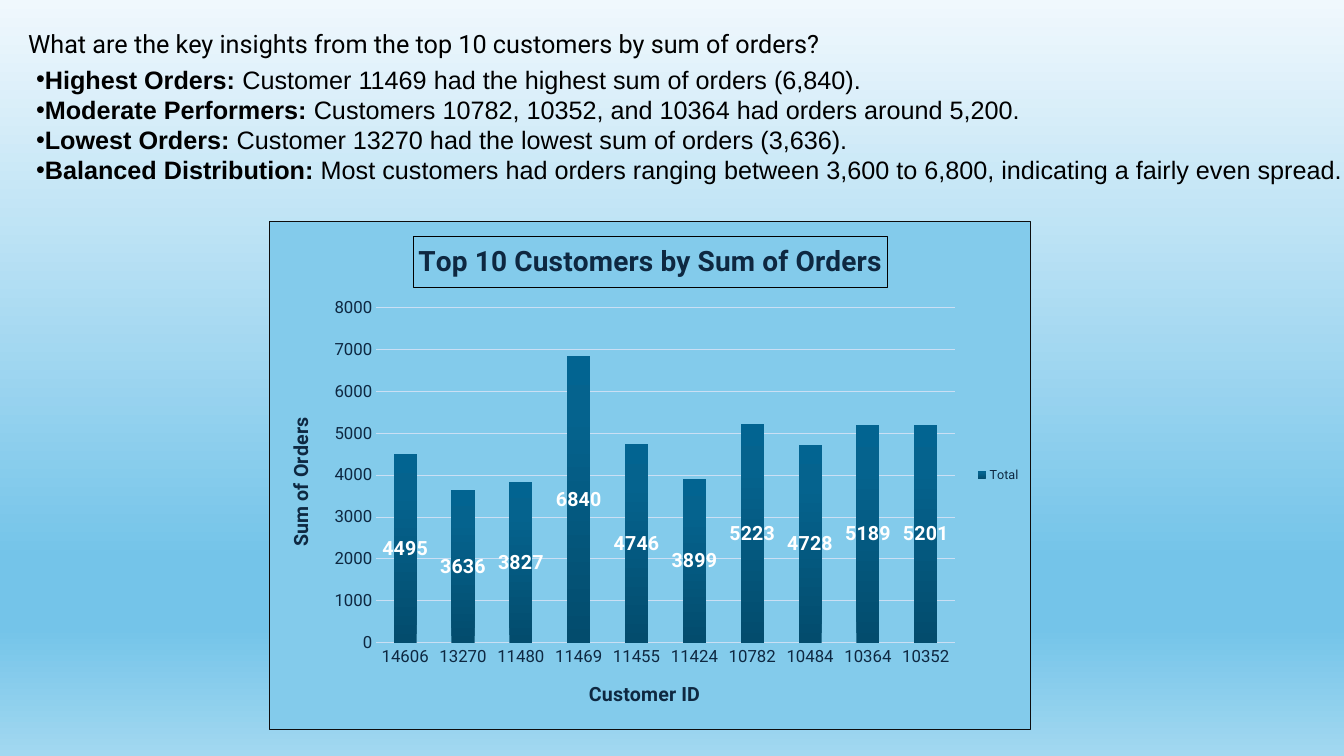
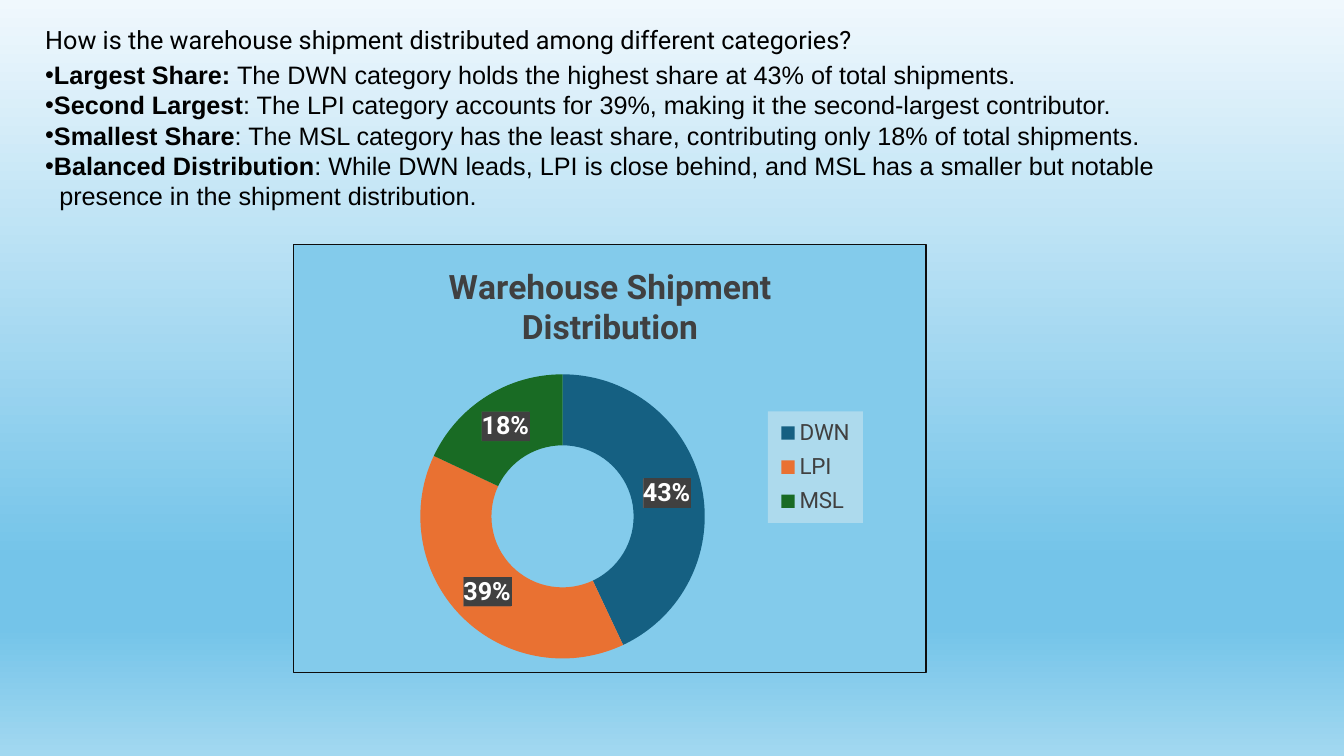
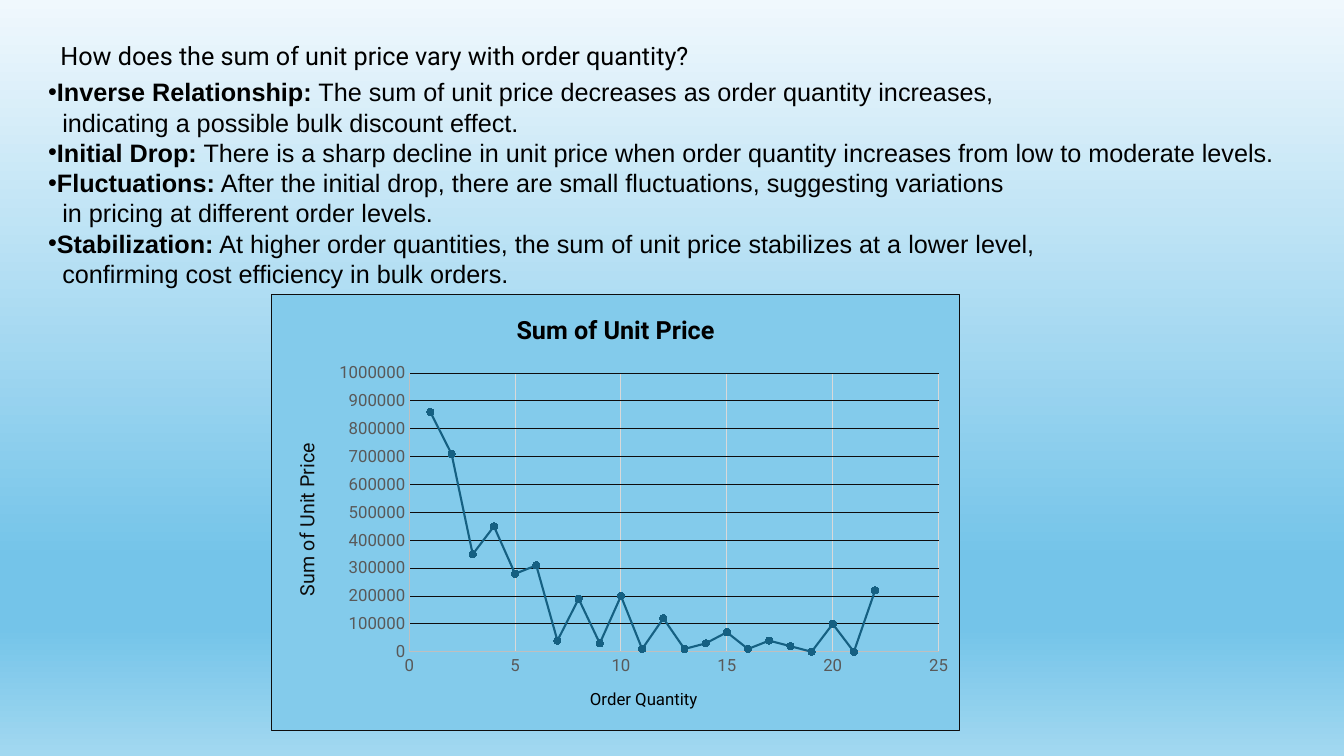
from pptx import Presentation
from pptx.chart.data import CategoryChartData, XyChartData
from pptx.dml.color import RGBColor
from pptx.enum.chart import XL_CHART_TYPE as ChartType
from pptx.enum.chart import XL_LABEL_POSITION as LabelPosition
from pptx.enum.chart import XL_LEGEND_POSITION as LegendPosition
from pptx.enum.chart import XL_MARKER_STYLE as Marker
from pptx.enum.chart import XL_TICK_MARK as TickMark
from pptx.enum.text import MSO_ANCHOR as Anchor
from pptx.oxml import parse_xml
from pptx.oxml.ns import nsdecls, qn
from pptx.util import Inches, Pt

BLACK = RGBColor(0x00, 0x00, 0x00)
INK = RGBColor(0x0D, 0x0D, 0x0D)
WHITE = RGBColor(0xFF, 0xFF, 0xFF)
NAVY = RGBColor(0x0E, 0x28, 0x41)
TEAL = RGBColor(0x15, 0x60, 0x82)
ORANGE = RGBColor(0xE9, 0x71, 0x32)
GREEN = RGBColor(0x19, 0x6B, 0x24)
CHARCOAL = RGBColor(0x40, 0x40, 0x40)
GRAY = RGBColor(0x59, 0x59, 0x59)
SILVER = RGBColor(0xBF, 0xBF, 0xBF)
PALE_GRAY = RGBColor(0xD9, 0xD9, 0xD9)
PALE_BLUE = RGBColor(0xCA, 0xDF, 0xF4)
PANEL = RGBColor(0x83, 0xCB, 0xEB)
LEGEND_PANEL = RGBColor(0xAD, 0xDA, 0xED)
HEADING_FONT = "Roboto"
BODY_FONT = "Arial"
SKY_STOPS = [(0, "F0F8FD"), (74, "74C4E9"), (83, "74C4E9"), (100, "A2D8F0")]
BAR_STOPS = [(0, "034C6D"), (80, "05638E"), (100, "026491")]


def put_gradient(properties, stops, angle):
    """Swap the solid fill in a properties element for a linear gradient."""
    marks = "".join(f'<a:gs pos="{place * 1000}"><a:srgbClr val="{color}"/></a:gs>'
                    for place, color in stops)
    gradient = parse_xml(f'<a:gradFill {nsdecls("a")} rotWithShape="1"><a:gsLst>{marks}</a:gsLst>'
                         f'<a:lin ang="{angle * 60000}" scaled="0"/></a:gradFill>')
    properties.replace(properties.find(qn("a:solidFill")), gradient)


def place_inside(part, index, left, top, width, height, target=""):
    """Give a chart part a fixed place, in fractions of the chart."""
    for old in part.findall(qn("c:layout")):
        part.remove(old)
    part.insert(index, parse_xml(
        f'<c:layout {nsdecls("c")}><c:manualLayout>{target}'
        '<c:xMode val="edge"/><c:yMode val="edge"/>'
        f'<c:x val="{left}"/><c:y val="{top}"/><c:w val="{width}"/><c:h val="{height}"/>'
        '</c:manualLayout></c:layout>'))


deck = Presentation()
deck.slide_width, deck.slide_height = Inches(13.33), Inches(7.5)

# Shared background
backdrop = deck.slide_master.background
backdrop.fill.solid()
put_gradient(next(deck.slide_master._element.iter(qn("p:bgPr"))), SKY_STOPS, 90)

# Question, its place, place of the findings, and (label, text); no label continues a line
topics = [
    ("What are the key insights from the top 10 customers by sum of orders?",
     (0.18, 0.23, 10.05, 0.4), (0.26, 0.58, 13.3, 1.31), [
         ("Highest Orders:", " Customer 11469 had the highest sum of orders (6,840)."),
         ("Moderate Performers:", " Customers 10782, 10352, and 10364 had orders around 5,200."),
         ("Lowest Orders:", " Customer 13270 had the lowest sum of orders (3,636)."),
         ("Balanced Distribution:", " Most customers had orders ranging between 3,600 to 6,800, "
                                    "indicating a fairly even spread.")]),
    ("How is the warehouse shipment distributed among different categories?",
     (0.35, 0.19, 11.14, 0.4), (0.35, 0.53, 11.39, 1.62), [
         ("Largest Share:", " The DWN category holds the highest share at 43% of total shipments."),
         ("Second Largest", ": The LPI category accounts for 39%, "
                            "making it the second-largest contributor."),
         ("Smallest Share", ": The MSL category has the least share, "
                            "contributing only 18% of total shipments."),
         ("Balanced Distribution", ": While DWN leads, LPI is close behind, "
                                   "and MSL has a smaller but notable"),
         ("", "presence in the shipment distribution.")]),
    ("How does the sum of unit price vary with order quantity?",
     (0.5, 0.35, 10.31, 0.4), (0.38, 0.7, 12.47, 2.22), [
         ("Inverse Relationship:", " The sum of unit price decreases as order quantity increases,"),
         ("", "indicating a possible bulk discount effect."),
         ("Initial Drop:", " There is a sharp decline in unit price when order quantity "
                           "increases from low to moderate levels."),
         ("Fluctuations:", " After the initial drop, there are small fluctuations, "
                           "suggesting variations"),
         ("", "in pricing at different order levels."),
         ("Stabilization:", " At higher order quantities, the sum of unit price stabilizes "
                            "at a lower level,"),
         ("", "confirming cost efficiency in bulk orders.")]),
]

# Chart data
orders = CategoryChartData()
orders.categories = ["14606", "13270", "11480", "11469", "11455",
                     "11424", "10782", "10484", "10364", "10352"]
orders.add_series("Total", [4495, 3636, 3827, 6840, 4746, 3899, 5223, 4728, 5189, 5201])

shipments = CategoryChartData()
shipments.categories = ["DWN", "LPI", "MSL"]
shipments.add_series("Series 1", [43, 39, 18])

prices = XyChartData()
price_series = prices.add_series("Series 1")
thousands = [860, 710, 350, 450, 280, 310, 40, 190, 30, 200, 10,
             120, 10, 30, 70, 10, 40, 20, 0, 100, 0, 220]
for quantity, price in enumerate(thousands, start=1):
    price_series.add_data_point(quantity, price * 1000)

# Type, data, place, plot area, title, title size, title colour
chart_plans = [
    (ChartType.COLUMN_STACKED, orders, (2.67, 2.19, 7.56, 5.05), (0.14, 0.17, 0.76, 0.66),
     "Top 10 Customers by Sum of Orders", 20, NAVY),
    (ChartType.DOUGHNUT, shipments, (2.91, 2.42, 6.28, 4.26), (0.2, 0.3, 0.45, 0.67),
     "Warehouse Shipment Distribution", 24, CHARCOAL),
    (ChartType.XY_SCATTER_LINES, prices, (2.69, 2.92, 6.83, 4.33), (0.2, 0.18, 0.77, 0.64),
     "Sum of Unit Price", 18, BLACK),
]

# Slides: question, findings and framed chart
charts = []
for topic, plan in zip(topics, chart_plans):
    question, question_place, findings_place, findings = topic
    kind, data, chart_place, plot_place, title, title_size, title_color = plan
    page = deck.slides.add_slide(deck.slide_layouts[6])

    frame = page.shapes.add_chart(kind, *map(Inches, chart_place), data)
    chart = frame.chart
    charts.append(chart)
    chart.font.name, chart.font.size = HEADING_FONT, Pt(10)
    chart.font.color.rgb = BLACK
    chart._chartSpace.find(qn("c:txPr")).addprevious(parse_xml(
        f'<c:spPr {nsdecls("c", "a")}><a:solidFill><a:srgbClr val="{PANEL}"/></a:solidFill>'
        f'<a:ln w="9525"><a:solidFill><a:srgbClr val="{INK}"/></a:solidFill></a:ln></c:spPr>'))
    place_inside(next(chart._chartSpace.iter(qn("c:plotArea"))), 0, *plot_place,
                 target='<c:layoutTarget val="inner"/>')
    chart.has_title = True
    span = chart.chart_title.text_frame.paragraphs[0].add_run()
    span.text = title
    span.font.name, span.font.size, span.font.bold = HEADING_FONT, Pt(title_size), True
    span.font.color.rgb = title_color
    chart.has_legend = kind != ChartType.XY_SCATTER_LINES

    box = page.shapes.add_textbox(*map(Inches, findings_place))
    box.text_frame.word_wrap = True
    box.text_frame.vertical_anchor = Anchor.MIDDLE
    for number, (label, text) in enumerate(findings):
        para = box.text_frame.paragraphs[0] if number == 0 else box.text_frame.add_paragraph()
        layout = para._p.get_or_add_pPr()
        if label:
            layout.append(parse_xml(f'<a:buFont {nsdecls("a")} typeface="{BODY_FONT}"/>'))
            layout.append(parse_xml(f'<a:buChar {nsdecls("a")} char="•"/>'))
        else:
            layout.set("marL", str(Inches(0.14)))
        for words, bold in ((label, True), (text, False)):
            if words:
                span = para.add_run()
                span.text = words
                span.font.name, span.font.size, span.font.bold = BODY_FONT, Pt(18), bold
                span.font.color.rgb = BLACK

    box = page.shapes.add_textbox(*map(Inches, question_place))
    box.text_frame.word_wrap = True
    span = box.text_frame.paragraphs[0].add_run()
    span.text = question
    span.font.name, span.font.size = HEADING_FONT, Pt(18)
    span.font.color.rgb = BLACK

order_chart, shipment_chart, price_chart = charts

# Axes: title, size, bold, title colour, tick label colour, line, grid
axis_plans = [
    (order_chart.category_axis, "Customer ID", 14, True, NAVY, NAVY, PALE_BLUE, None),
    (order_chart.value_axis, "Sum of Orders", 14, True, NAVY, NAVY, None, PALE_BLUE),
    (price_chart.category_axis, "Order Quantity", 12, False, BLACK, GRAY, SILVER, PALE_GRAY),
    (price_chart.value_axis, "Sum of Unit Price", 14, False, INK, GRAY, SILVER, INK),
]
for axis, title, size, bold, title_color, tick_color, line_color, grid_color in axis_plans:
    span = axis.axis_title.text_frame.paragraphs[0].add_run()
    span.text = title
    span.font.name, span.font.size, span.font.bold = HEADING_FONT, Pt(size), bold
    span.font.color.rgb = title_color
    labels = axis.tick_labels.font
    labels.name, labels.size = HEADING_FONT, Pt(12)
    labels.color.rgb = tick_color
    axis.major_tick_mark = axis.minor_tick_mark = TickMark.NONE
    if line_color is None:
        axis.format.line.fill.background()
    else:
        axis.format.line.width = Pt(0.75)
        axis.format.line.color.rgb = line_color
    axis.has_major_gridlines = grid_color is not None
    if grid_color is not None:
        axis.major_gridlines.format.line.width = Pt(0.75)
        axis.major_gridlines.format.line.color.rgb = grid_color

for axis, top, step in ((order_chart.value_axis, 8000, 1000),
                        (price_chart.category_axis, 25, 5),
                        (price_chart.value_axis, 1000000, 100000)):
    axis.minimum_scale, axis.maximum_scale, axis.major_unit = 0, top, step

# Legends and data labels
for chart, legend_size, legend_color, label_size in ((order_chart, 9, NAVY, 14),
                                                     (shipment_chart, 16, CHARCOAL, 18)):
    legend = chart.legend
    legend.position, legend.include_in_layout = LegendPosition.RIGHT, False
    legend.font.name, legend.font.size = HEADING_FONT, Pt(legend_size)
    legend.font.color.rgb = legend_color
    labels = chart.plots[0].series[0].data_labels
    labels.font.name, labels.font.size, labels.font.bold = HEADING_FONT, Pt(label_size), True
    labels.font.color.rgb = WHITE

# Order columns
title_line = order_chart.chart_title.format.line
title_line.width = Pt(0.75)
title_line.color.rgb = BLACK
columns = order_chart.plots[0]
columns.gap_width, columns.overlap, columns.vary_by_categories = 150, 100, False
totals = columns.series[0]
totals.format.fill.solid()
put_gradient(totals._element.find(qn("c:spPr")), BAR_STOPS, 270)
totals.data_labels.show_value = True
totals.data_labels.position = LabelPosition.CENTER

# Shipment ring
shares = shipment_chart.plots[0].series[0]
for number, color in enumerate((TEAL, ORANGE, GREEN)):
    slice_fill = shares.points[number].format.fill
    slice_fill.solid()
    slice_fill.fore_color.rgb = color
labels = shares.data_labels
labels.show_percentage, labels.show_value = True, False
labels.number_format, labels.number_format_is_linked = "0%", False
labels._element.find(qn("c:txPr")).addprevious(parse_xml(
    f'<c:spPr {nsdecls("c", "a")}><a:pattFill prst="dkVert">'
    f'<a:fgClr><a:srgbClr val="{CHARCOAL}"/></a:fgClr>'
    f'<a:bgClr><a:srgbClr val="{GRAY}"/></a:bgClr></a:pattFill></c:spPr>'))
legend_part = shipment_chart.legend._element
place_inside(legend_part, 1, 0.75, 0.39, 0.15, 0.26)
legend_part.find(qn("c:txPr")).addprevious(parse_xml(
    f'<c:spPr {nsdecls("c", "a")}><a:solidFill><a:srgbClr val="{LEGEND_PANEL}"/>'
    '</a:solidFill></c:spPr>'))

# Price line
price_plot = price_chart.plots[0]
price_plot.vary_by_categories = False
price_line = price_plot.series[0]
price_line.smooth = False
price_line.format.line.width = Pt(1.5)
price_line.format.line.color.rgb = TEAL
price_line.marker.style, price_line.marker.size = Marker.CIRCLE, 5
price_line.marker.format.fill.solid()
price_line.marker.format.fill.fore_color.rgb = TEAL
price_line.marker.format.line.color.rgb = TEAL

deck.save("out.pptx")
